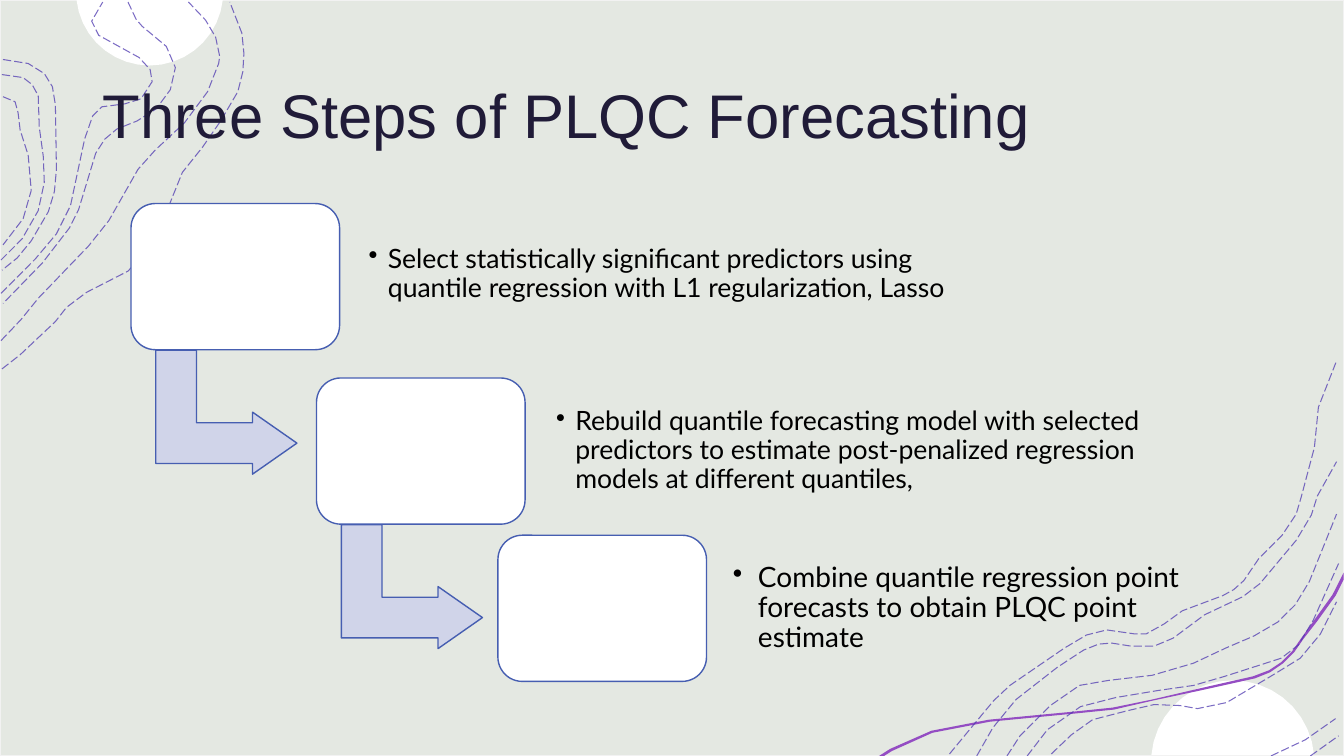
import math
from collections import namedtuple
from dataclasses import dataclass

import pptx
import pptx.dml.color
import pptx.enum.dml
import pptx.enum.shapes
import pptx.enum.text
import pptx.util
from lxml import etree
from pptx.oxml.ns import qn

Pt = pptx.util.Pt
SHAPES = pptx.enum.shapes.MSO_SHAPE
Box = namedtuple("Box", "left top width height")
Step = namedtuple("Step", "card note size indent inset text")


@dataclass(frozen=True)
class Theme:
    backdrop: str = "E4E8E2"
    border: str = "F2F2F2"
    white: str = "FFFFFF"
    contour: str = "503BB1"
    wave: str = "944DC3"
    title: str = "201B38"
    body: str = "000000"
    arrow: str = "D0D4E9"
    outline: str = "465EB1"
    title_font: str = "Arial"
    body_font: str = "Lato"
    title_size: int = 44


THEME = Theme()
SLIDE = Box(0, 0, 960, 540)
CARD = (149, 104.4)
ARROW = Box(23.8, 98.6, 88.6, 100.8)  # offset from the card above it
GRID = 0.72  # points per unit of the curve coordinates below

STEPS = [
    Step((93.6, 145.4), Box(256.3, 154.1, 447.8, 84.2), 19, 13.7, 7.2,
         "Select statistically significant predictors using quantile regression "
         "with L1 regularization, Lasso"),
    Step((226.1, 270), Box(390.2, 280.1, 439.9, 84.2), 19, 13.7, 7.2,
         "Rebuild quantile forecasting model with selected predictors to estimate "
         "post-penalized regression models at different quantiles,"),
    Step((355.7, 382.3), Box(515.5, 392.4, 360.7, 84.2), 20, 18, 7.9,
         "Combine quantile regression point forecasts to obtain PLQC point estimate"),
]

TOP_LEFT_CONTOURS = [
    [(2, 366), (20, 352), (55, 319), (66, 305), (86, 290), (127, 269), (141, 254), (160, 223),
     (181, 171), (201, 146), (219, 120), (236, 91), (241, 71), (242, 53), (240, 33), (228, 2)],
    [(1, 338), (21, 317), (38, 296), (88, 244), (108, 219), (137, 168), (154, 149), (183, 122),
     (206, 91), (217, 63), (218, 56), (214, 37), (204, 20), (187, 2)],
    [(127, 2), (135, 19), (141, 26), (165, 46), (174, 67), (169, 89), (155, 108), (136, 120),
     (116, 128), (104, 138), (95, 152), (78, 208), (69, 226), (42, 261), (3, 301)],
    [(1, 291), (35, 257), (56, 232), (70, 204), (84, 138), (92, 115), (101, 106),
     (124, 103), (140, 98), (151, 81), (149, 69), (138, 57), (98, 35), (91, 21), (102, 2)],
    [(3, 59), (28, 63), (44, 73), (52, 86), (55, 104), (56, 168), (54, 190),
     (48, 210), (31, 239), (17, 256), (2, 268)],
    [(2, 74), (23, 77), (32, 84), (38, 95), (39, 126), (43, 155), (44, 181), (38, 209),
     (22, 237), (1, 258)],
    [(3, 96), (15, 101), (18, 112), (20, 129), (28, 154), (31, 189), (23, 217), (3, 243)],
]
BOTTOM_RIGHT_CONTOURS = [
    [(942, 748), (971, 713), (986, 695), (1002, 680), (1056, 643), (1078, 630), (1098, 625),
     (1126, 629), (1137, 629), (1155, 619), (1173, 606), (1213, 591), (1224, 585), (1234, 576),
     (1249, 554), (1272, 531), (1286, 510), (1291, 493), (1304, 444), (1308, 404), (1326, 358)],
    [(969, 750), (985, 722), (1008, 694), (1049, 662), (1075, 645), (1090, 639), (1103, 638),
     (1122, 641), (1145, 641), (1164, 633), (1195, 610), (1233, 592), (1250, 579),
     (1286, 536), (1301, 511), (1307, 492), (1326, 458)],
    [(1300, 750), (1328, 730)],
    [(1261, 750), (1295, 734), (1325, 713)],
    [(1043, 748), (1063, 729), (1084, 714), (1119, 705), (1145, 699), (1171, 700), (1188, 703),
     (1217, 697), (1264, 669), (1290, 653), (1310, 629), (1326, 597)],
    [(1019, 750), (1039, 724), (1072, 701), (1107, 692), (1149, 685), (1184, 680), (1215, 671),
     (1271, 653), (1288, 640), (1303, 615), (1328, 559)],
    [(999, 750), (1012, 730), (1042, 700), (1071, 680), (1100, 675), (1143, 670),
     (1184, 658), (1216, 643), (1244, 631), (1268, 617), (1285, 600), (1299, 577), (1326, 510)],
]
WAVE = [(1333, 575), (1325, 591), (1307, 616), (1293, 634), (1284, 647), (1273, 658),
        (1260, 667), (1245, 673), (1191, 685), (1144, 695), (1105, 704), (1065, 708),
        (982, 716), (925, 727), (885, 745), (877, 750), (872, 750), (883, 743), (924, 725),
        (981, 714), (1065, 706), (1104, 702), (1143, 694), (1190, 683), (1243, 671),
        (1259, 665), (1271, 657), (1282, 646), (1291, 633), (1304, 615), (1322, 590),
        (1333, 568)]


def rgb(code):
    return pptx.dml.color.RGBColor.from_string(code)


def assign(target, **values):
    for name, value in values.items():
        setattr(target, name, value)


def place(shape, box):
    assign(shape, **{side: Pt(value) for side, value in box._asdict().items()})


def paint(shape, fill=None, line=None, width=1):
    """Set fill and outline; None leaves that part empty."""
    shape.shadow.inherit = False
    for part, color in ((shape.fill, fill), (shape.line.fill, line)):
        if color is None:
            part.background()
        else:
            part.solid()
            part.fore_color.rgb = rgb(color)
    if line:
        shape.line.width = Pt(width)


def add_preset(shapes, kind, box, fill, line):
    shape = shapes.add_shape(kind, *map(Pt, box))
    paint(shape, fill, line)
    return shape


def add_outline(shapes, box, points, close):
    spots = [(Pt(box.left + x * GRID), Pt(box.top + y * GRID)) for x, y in points]
    builder = shapes.build_freeform(*spots[0])
    builder.add_line_segments(spots[1:], close=close)
    return builder.convert_to_shape()


def add_cap(shapes, box, center, radius, edge, side, pieces=18):
    """Draw the part of a disc that lies inside a slide edge; side is 1 below it, -1 above."""
    start = math.asin((edge - center[1]) * side / radius)
    angles = [start + (math.pi - 2 * start) * i / pieces for i in range(pieces + 1)]
    points = [(center[0] + radius * math.cos(a), center[1] + side * radius * math.sin(a))
              for a in angles]
    paint(add_outline(shapes, box, points, True), THEME.white)


def add_contours(page, box, contours):
    group = page.shapes.add_group_shape()
    for knots in contours:
        curve = add_outline(group.shapes, box, knots, False)
        paint(curve, line=THEME.contour, width=0.75)
        curve.line.dash_style = pptx.enum.dml.MSO_LINE.LONG_DASH
        color = curve.line._ln.find(".//" + qn("a:srgbClr"))
        etree.SubElement(color, qn("a:alpha"), val="75000")


def add_backdrop(page, box):
    add_preset(page.shapes, SHAPES.RECTANGLE, box, THEME.backdrop, THEME.border)
    add_cap(page.shapes, box, (148.5, -8), 73, 0, 1)
    add_cap(page.shapes, box, (1223, 756), 81, 749, -1)
    paint(add_outline(page.shapes, box, WAVE, True), THEME.wave)
    for contours in (TOP_LEFT_CONTOURS, BOTTOM_RIGHT_CONTOURS):
        add_contours(page, box, contours)


def write(frame, text, font, size, color, inset=(7.2, 3.6)):
    across, down = map(Pt, inset)
    assign(frame, word_wrap=True, vertical_anchor=pptx.enum.text.MSO_ANCHOR.MIDDLE,
           margin_left=across, margin_right=across, margin_top=down, margin_bottom=down)
    para = frame.paragraphs[0]
    para.alignment = pptx.enum.text.PP_ALIGN.LEFT
    span = para.add_run()
    span.text = text
    assign(span.font, name=font, size=Pt(size))
    span.font.color.rgb = rgb(color)
    return para


def add_title(page, box, text):
    title = page.shapes.title
    title.element.getparent().append(title.element)  # bring in front of the backdrop
    place(title, box)
    write(title.text_frame, text, THEME.title_font, THEME.title_size, THEME.title)


def add_note(page, box, step):
    note = page.shapes.add_textbox(*map(Pt, box))
    para = write(note.text_frame, step.text, THEME.body_font, step.size, THEME.body,
                 (step.inset, step.inset))
    assign(para, line_spacing=0.9, space_after=Pt(0.15 * step.size))
    layout = para._p.get_or_add_pPr()
    layout.set("marL", str(Pt(step.indent)))
    layout.set("indent", str(-Pt(step.indent)))
    etree.SubElement(layout, qn("a:buChar"), char="•")


def add_step(page, box, step, has_next):
    if has_next:
        spot = ARROW._replace(left=box.left + ARROW.left, top=box.top + ARROW.top)
        arrow = add_preset(page.shapes, SHAPES.BENT_UP_ARROW, spot, THEME.arrow, THEME.outline)
        arrow.rotation = 90
        for index, value in enumerate((0.328, 0.25, 0.358)):
            arrow.adjustments[index] = value
    add_preset(page.shapes, SHAPES.ROUNDED_RECTANGLE, box, THEME.white, THEME.outline)
    add_note(page, step.note, step)


def main():
    deck = pptx.Presentation()
    assign(deck, slide_width=Pt(SLIDE.width), slide_height=Pt(SLIDE.height))
    page = deck.slides.add_slide(deck.slide_layouts.get_by_name("Title Only"))
    add_backdrop(page, SLIDE)
    add_title(page, Box(66, 28.8, 828, 104.4), "Three Steps of PLQC Forecasting")
    for step in STEPS:
        add_step(page, Box(*step.card, *CARD), step, step is not STEPS[-1])
    deck.save("out.pptx")


if __name__ == "__main__":
    main()
